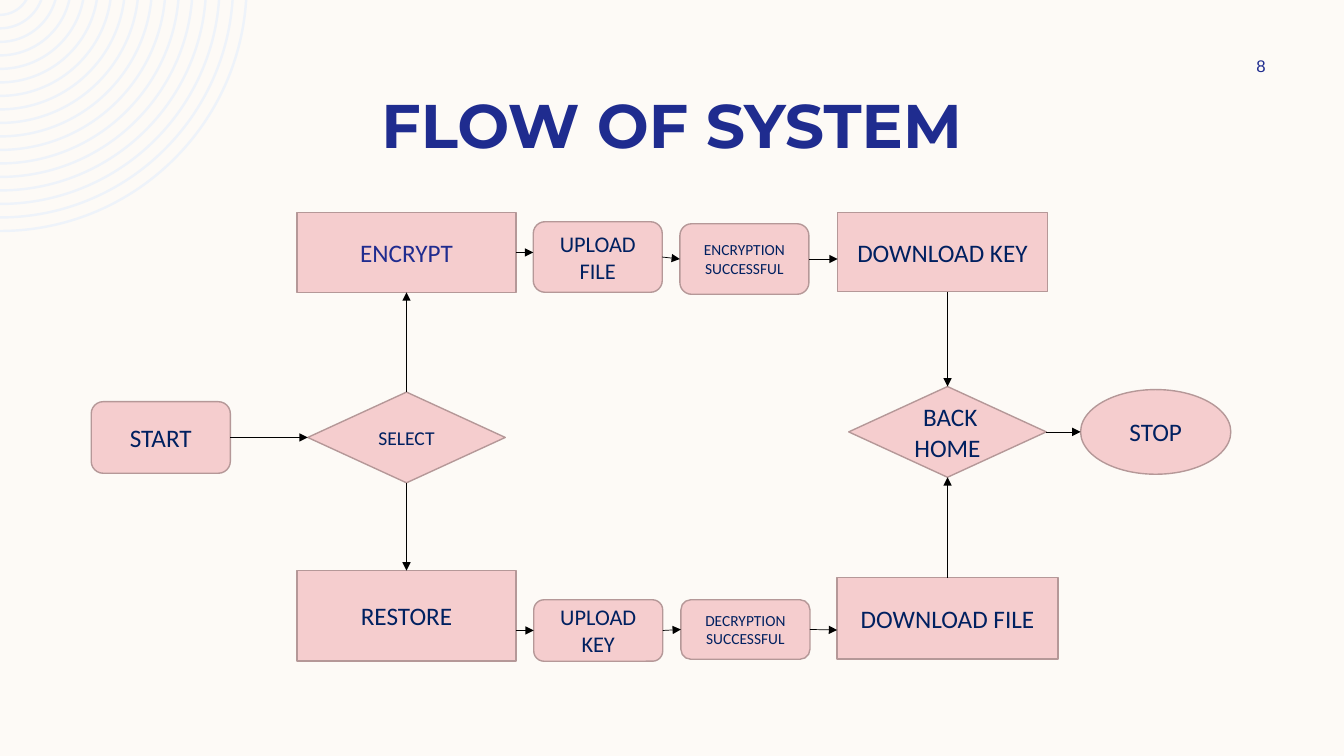
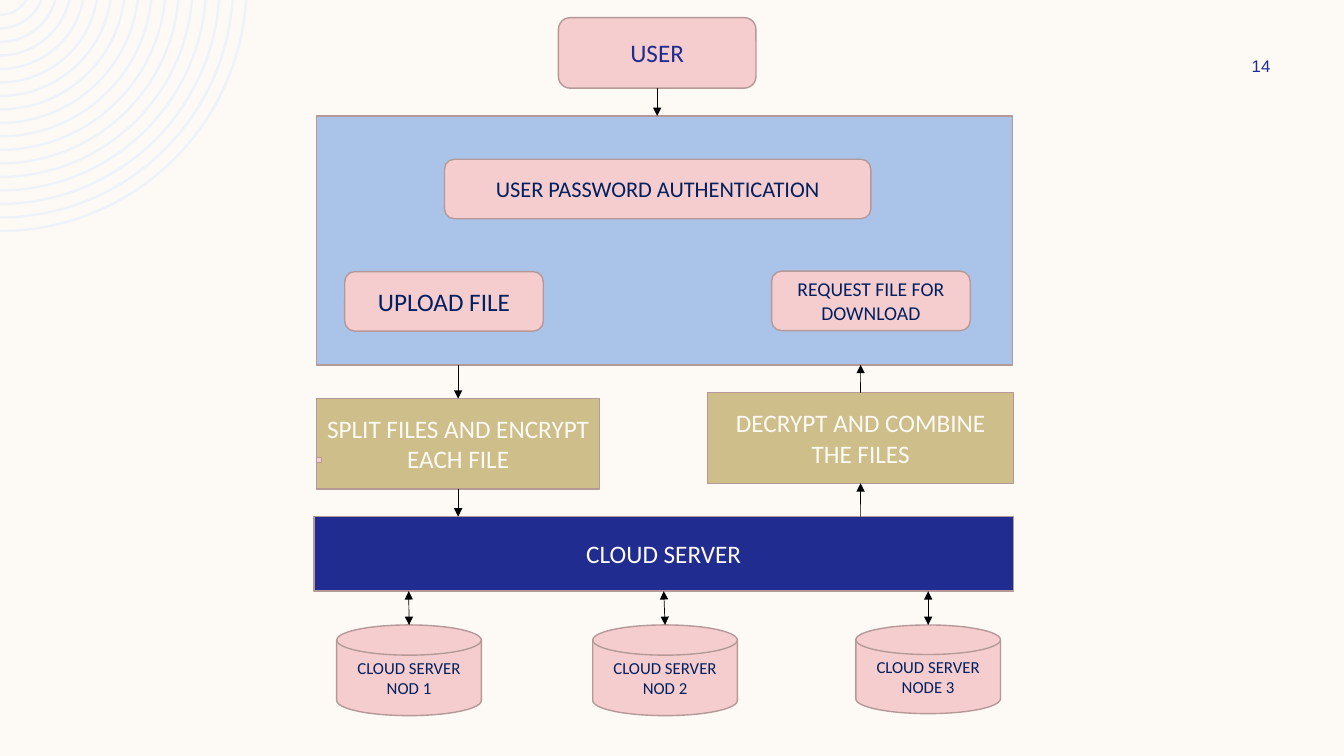
from math import asin, cos, pi, sin, tan

from pptx import Presentation
from pptx.dml.color import RGBColor
from pptx.enum.shapes import MSO_CONNECTOR, MSO_SHAPE
from pptx.enum.text import MSO_ANCHOR, MSO_AUTO_SIZE, PP_ALIGN
from pptx.oxml.ns import qn
from pptx.util import Inches, Pt
from lxml.etree import SubElement

CREAM, PINK, ROSE = "FDFAF6", "F5CDCE", "B59898"
NAVY, BLUE, TITLE = "002060", "202C8F", "1F2C8F"
SKY, GOLD, MIST, BLACK = "AAC4E9", "CDBE8A", "EEF3FA", "000000"
CELL = 0.1
RECT, ROUND = MSO_SHAPE.RECTANGLE, MSO_SHAPE.ROUNDED_RECTANGLE
RHOMB, DISK = MSO_SHAPE.FLOWCHART_DECISION, MSO_SHAPE.FLOWCHART_MAGNETIC_DISK
TOP, LEFT, BOTTOM, RIGHT = range(4)


def grid(*cells):
    return [Inches(cell * CELL) for cell in cells]


def tint(code):
    return RGBColor.from_string(code)


def paint(fill, code):
    fill.solid()
    fill.fore_color.rgb = tint(code)


def write(shape, runs, size, ink, font="Calibri", bold=False):
    frame = shape.text_frame
    frame.word_wrap = True
    frame.auto_size = MSO_AUTO_SIZE.NONE
    frame.vertical_anchor = MSO_ANCHOR.MIDDLE
    para = frame.paragraphs[0]
    para.alignment = PP_ALIGN.CENTER
    for text in runs:
        run = para.add_run()
        run.text = text
        run.font.size, run.font.name, run.font.bold = Pt(size), font, bold
        run.font.color.rgb = tint(ink)


def box(page, kind, area, *runs, size=18, ink=NAVY, fill=PINK):
    shape = page.shapes.add_shape(kind, *grid(*area))
    shape.shadow.inherit = False
    paint(shape.fill, fill)
    shape.line.color.rgb = tint(ROSE)
    shape.line.width = Pt(1)
    if runs:
        write(shape, runs, size, ink)
    return shape


def link(page, start, stop, both=False):
    ends = [(0, 0) if hasattr(end[0], "shape_id") else end
            for end in (start, stop)]
    line = page.shapes.add_connector(
        MSO_CONNECTOR.STRAIGHT, *grid(*ends[0], *ends[1]))
    for end, join in ((start, line.begin_connect), (stop, line.end_connect)):
        if hasattr(end[0], "shape_id"):
            join(*end)
    line.line.color.rgb = tint(BLACK)
    line.line.width = Pt(0.5)
    props = line.element.spPr
    stroke = props.find(qn("a:ln"))
    for tag in ("a:headEnd", "a:tailEnd") if both else ("a:tailEnd",):
        SubElement(stroke, qn(tag), type="triangle")
    SubElement(props, qn("a:effectLst"))


def arc(radius, drop):
    turn = asin(drop / radius)
    pull = 4 / 3 * tan((pi / 2 - turn) / 4)
    dots = ((cos(turn), sin(turn)),
            (cos(turn) - pull * sin(turn), sin(turn) + pull * cos(turn)),
            (pull, 1), (0, 1))
    return [grid(radius * x, radius * y - drop) for x, y in dots]


def bend(shape):
    for track in shape.element.iter(qn("a:path")):
        lines = track.findall(qn("a:lnTo"))
        for n in range(0, len(lines), 7):
            for trio in (lines[n:n + 3], lines[n + 4:n + 7]):
                curve = trio[0]
                curve.tag = qn("a:cubicBezTo")
                for line in trio[1:]:
                    curve.append(line[0])
                    track.remove(line)


def rings(page, master, count=17, drop=1.55, small=3.15, step=1.34, width=0.24):
    pen = page.shapes.build_freeform(*arc(small, drop)[0])
    for n in range(count):
        outer = small + n * step
        dots = arc(outer, drop) + arc(outer - width, drop)[::-1]
        if n:
            pen.move_to(*dots[0])
        pen.add_line_segments(dots[1:], close=True)
    shape = pen.convert_to_shape()
    bend(shape)
    shape.shadow.inherit = False
    paint(shape.fill, MIST)
    shape.line.fill.background()
    shape.element.nvSpPr.cNvPr.set("id", "99")
    master.shapes.element.append(shape.element)


def number(page, text):
    label = page.shapes.add_textbox(*grid(119.7, 5, 10.8, 3))
    write(label, [text], 12, TITLE, "Arial")


def head(page, text):
    title = page.shapes.title
    title.left, title.top, title.width, title.height = grid(8.3, 8.1, 116.7, 8.4)
    write(title, [text], 44, TITLE, "Montserrat", True)


def flow(page):
    head(page, "FLOW OF SYSTEM")
    number(page, "8")
    box(page, MSO_SHAPE.OVAL, (107.2, 38.65, 14.9, 8.4), "STOP")
    start = box(page, ROUND, (9.05, 39.85, 13.8, 7.1), "START")
    lock = box(page, RECT, (29.48, 21.1, 21.7, 7.9), "ENCRYPT", ink=BLUE)
    undo = box(page, RECT, (29.48, 56.6, 21.7, 9), "RESTORE")
    box(page, RECT, (83.1, 21.05, 20.8, 7.9), "DOWNLOAD KEY")
    file = box(page, RECT, (83.05, 57.3, 21.9, 8.1), "DOWNLOAD FILE")
    send = box(page, ROUND, (52.9, 22, 12.8, 7), "UPLOAD FILE", size=16)
    done = box(page, ROUND, (67.45, 22.2, 12.8, 7), "ENCRYPTION SUCCESSFUL", size=11)
    key = box(page, ROUND, (52.95, 59.5, 12.8, 6.1), "UPLOAD KEY", size=16)
    clear = box(page, ROUND, (67.55, 59.5, 12.8, 5.9), "DECRYPTION SUCCESSFUL", size=11)
    pick = box(page, RHOMB, (30.53, 38.9, 19.6, 9), "SELECT", size=14)
    home = box(page, RHOMB, (84.2, 38.35, 19.6, 9), " ", "BACK HOME")
    for ends in (
        ((start, RIGHT), (pick, LEFT)),
        ((pick, TOP), (lock, BOTTOM)),
        ((pick, BOTTOM), (undo, TOP)),
        ((lock, RIGHT), (52.9, 25.05)),
        ((send, RIGHT), (done, LEFT)),
        ((done, RIGHT), (83.1, 25.7)),
        ((94, 28.95), (home, TOP)),
        ((file, TOP), (home, BOTTOM)),
        ((home, RIGHT), (107.2, 42.85)),
        ((51.18, 62.55), (key, LEFT)),
        ((key, RIGHT), (clear, LEFT)),
        ((clear, RIGHT), (83.05, 62.5)),
    ):
        link(page, *ends)


def cloud(page):
    number(page, "14")
    user = box(page, ROUND, (55.4, 1.75, 19.6, 7), "USER", ink=BLUE)
    box(page, RECT, (31.4, 11.5, 69.05, 24.7), fill=SKY)
    box(page, ROUND, (44.1, 15.8, 42.3, 5.9), "USER PASSWORD AUTHENTICATION", size=16)
    box(page, ROUND, (34.2, 26.95, 19.7, 5.9), "UPLOAD FILE")
    box(page, ROUND, (76.55, 26.9, 19.7, 5.9), "REQUEST FILE FOR DOWNLOAD", size=14)
    split = box(page, RECT, (31.4, 39.55, 28.1, 8.95), "SPLIT FILES AND ENCRYPT EACH FILE",
                ink=CREAM, fill=GOLD)
    merge = box(page, RECT, (70.2, 38.95, 30.35, 9), "DECRYPT AND COMBINE THE FILES",
                ink=CREAM, fill=GOLD)
    box(page, RECT, (31.4, 45.4, 0.5, 0.5))
    server = box(page, RECT, (31.15, 51.25, 69.4, 7.4), "CLOUD SERVER", ink=CREAM, fill=BLUE)
    for left, high, name, start in (
        (33.4, 9, "NOD 1", (40.55, 58.65)),
        (58.8, 9, "NOD 2", (server, BOTTOM)),
        (84.9, 8.8, "NODE 3", (92.08, 58.65)),
    ):
        box(page, DISK, (left, 62, 14.35, high), f"CLOUD SERVER {name}", size=12)
        link(page, start, (left + 7.18, 62), both=True)
    for ends in (
        ((user, BOTTOM), (65.2, 11.5)),
        ((45.45, 36.2), (split, TOP)),
        ((split, BOTTOM), (45.45, 51.25)),
        ((85.38, 51.25), (merge, BOTTOM)),
        ((merge, TOP), (85.38, 36.2)),
    ):
        link(page, *ends)


def main():
    deck = Presentation()
    deck.slide_width, deck.slide_height = grid(133.33, 75)
    master = deck.slide_master
    paint(master.background.fill, CREAM)
    first = deck.slides.add_slide(deck.slide_layouts[5])
    rings(first, master)
    flow(first)
    cloud(deck.slides.add_slide(deck.slide_layouts[6]))
    deck.save("out.pptx")


if __name__ == "__main__":
    main()
